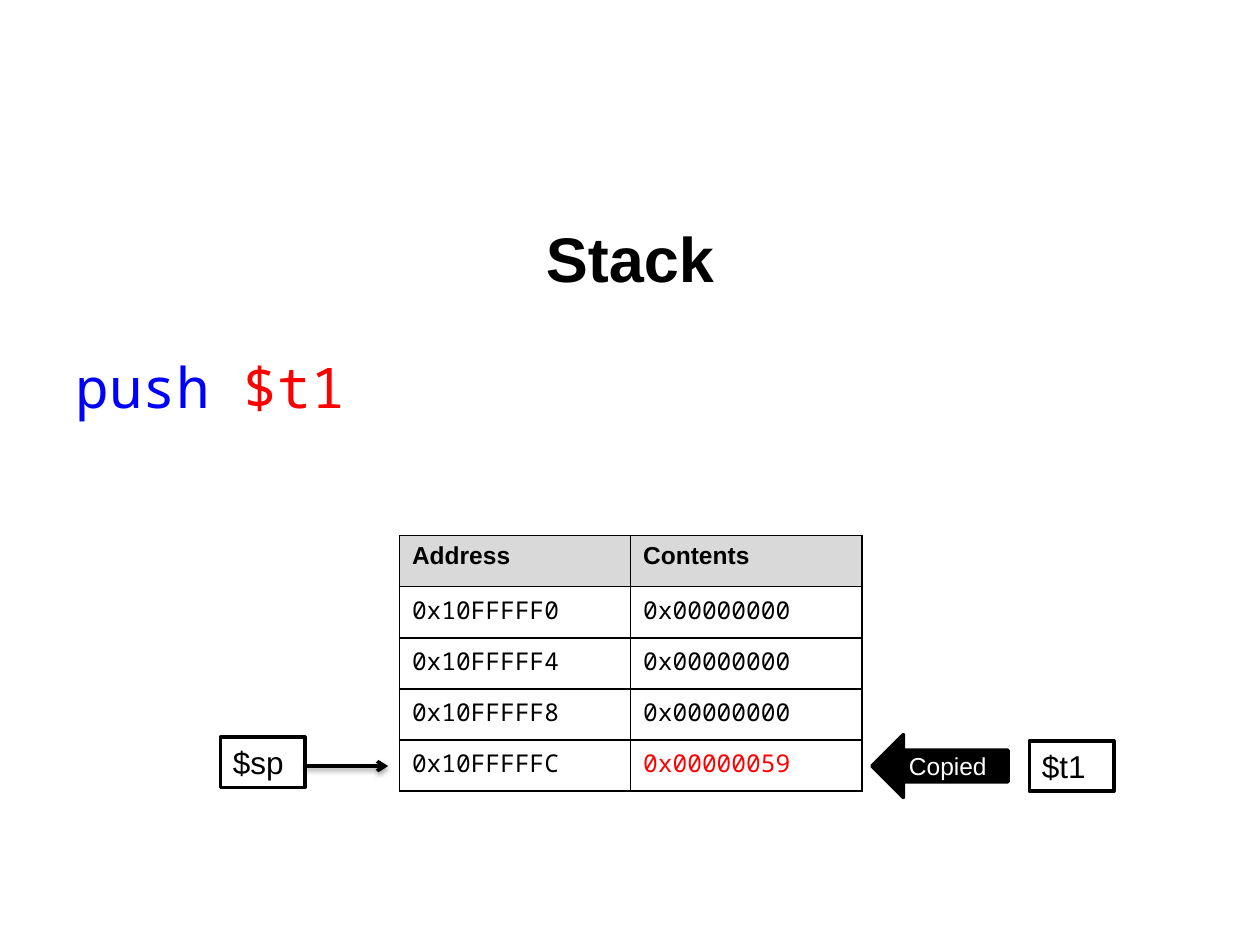
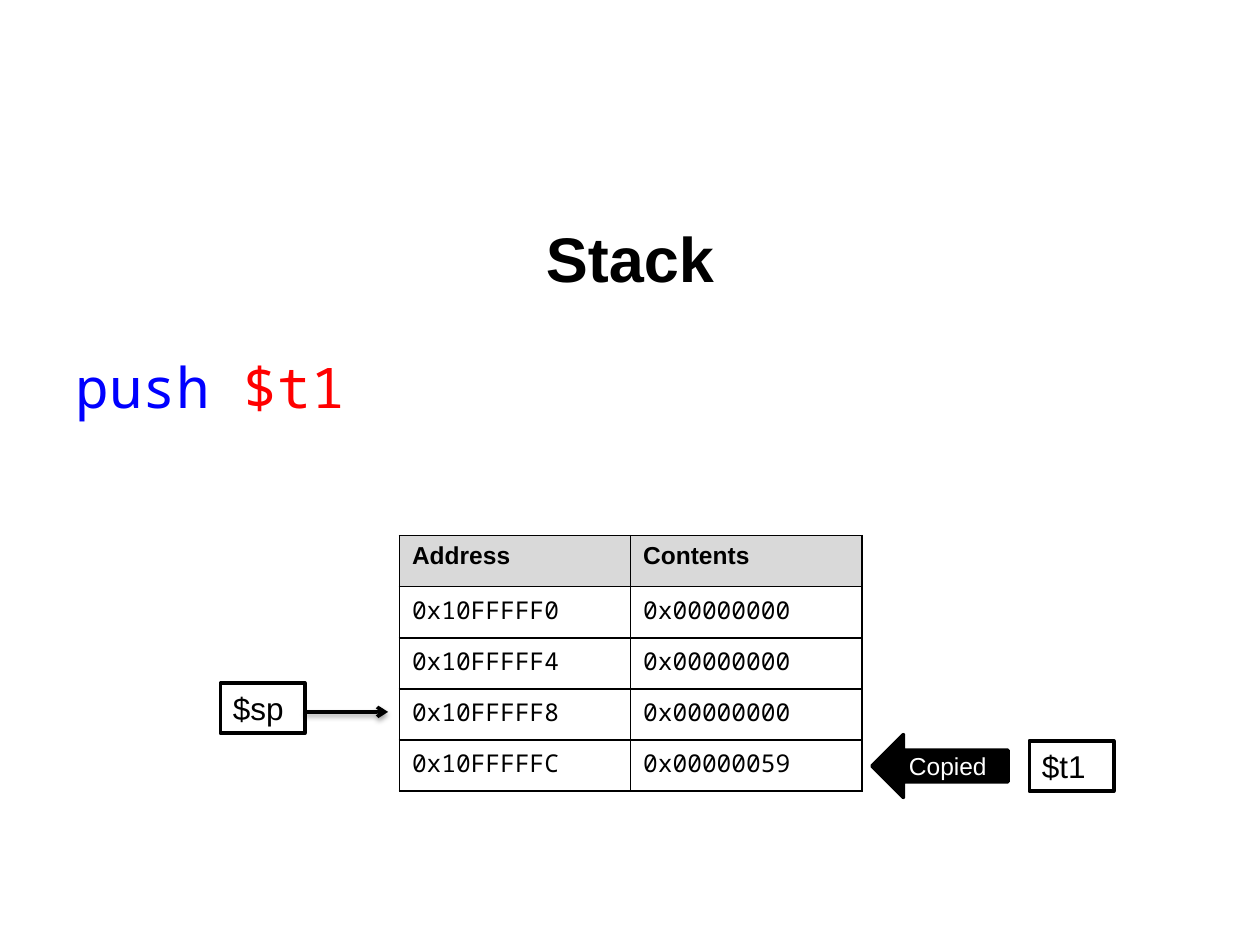
from dataclasses import dataclass

from lxml import etree
from pptx import Presentation
from pptx.dml.color import RGBColor
from pptx.enum import shapes, text
from pptx.oxml.ns import qn
from pptx.util import Inches, Pt


@dataclass(frozen=True)
class Theme:
    sans: str = "Arial"
    mono: str = "Noto Sans Mono"
    black: str = "000000"
    white: str = "FFFFFF"
    header: str = "D9D9D9"
    keyword: str = "0000FF"
    highlight: str = "FF0000"
    title_size: int = 36
    code_size: int = 32
    register_size: int = 18
    small_size: int = 14
    outline: float = 2
    border: float = 1


@dataclass(frozen=True)
class Box:
    left: float
    top: float
    width: float
    height: float

    def lengths(self) -> tuple:
        return tuple(Inches(v) for v in (self.left, self.top, self.width, self.height))


@dataclass(frozen=True)
class StackState:
    """One step of the push: where $sp points and how the copied value looks."""
    pointer_top: float
    value_color: str


THEME = Theme()
TITLE = Box(0.5, 1.42, 9, 1.25)
CODE = Box(0.5, 2.75, 9, 1.33)
MEMORY = Box(3.17, 4.25, 3.67, 2.03)
COPY_ARROW = Box(6.92, 5.83, 1.08, 0.5)
REGISTER_WIDTH, REGISTER_HEIGHT = 0.67, 0.4
SOURCE_REGISTER = Box(8.17, 5.88, REGISTER_WIDTH, REGISTER_HEIGHT)
POINTER_LEFT, POINTER_TIP = 1.75, 3.08
POINTER_LINE_DROP = 0.23

MEMORY_ROWS = [
    ("Address", "Contents"),
    ("0x10FFFFF0", "0x00000000"),
    ("0x10FFFFF4", "0x00000000"),
    ("0x10FFFFF8", "0x00000000"),
    ("0x10FFFFFC", "0x00000059"),
]
STATES = [StackState(5.85, THEME.highlight), StackState(5.42, THEME.black)]


def rgb(color: str) -> RGBColor:
    return RGBColor.from_string(color)


def style_run(run, size: int, color: str = THEME.black, font: str = THEME.sans,
              bold: bool = False) -> None:
    run.font.name = font
    run.font.size = Pt(size)
    run.font.bold = bold
    run.font.color.rgb = rgb(color)


def style_line(line) -> None:
    line.color.rgb = rgb(THEME.black)
    line.width = Pt(THEME.outline)


def place(shape, box: Box) -> None:
    shape.left, shape.top, shape.width, shape.height = box.lengths()


def add_heading(slide) -> None:
    title = slide.shapes.title
    place(title, TITLE)
    title.text_frame.text = "Stack"
    title.text_frame.vertical_anchor = text.MSO_ANCHOR.MIDDLE
    heading = title.text_frame.paragraphs[0]
    heading.alignment = text.PP_ALIGN.CENTER
    style_run(heading.runs[0], THEME.title_size, bold=True)


def add_instruction(slide) -> None:
    body = slide.placeholders[1]
    place(body, CODE)
    instruction = body.text_frame.paragraphs[0]
    etree.SubElement(instruction._p.get_or_add_pPr(), qn("a:buNone"))
    for part, color in (("push ", THEME.keyword), ("$t1", THEME.highlight)):
        run = instruction.add_run()
        run.text = part
        style_run(run, THEME.code_size, color, THEME.mono)


def add_cell_borders(cell) -> None:
    properties = cell._tc.get_or_add_tcPr()
    for side in ("lnL", "lnR", "lnT", "lnB"):
        border = etree.SubElement(properties, qn(f"a:{side}"), w=str(Pt(THEME.border)))
        fill = etree.SubElement(border, qn("a:solidFill"))
        etree.SubElement(fill, qn("a:srgbClr"), val=THEME.black)


def add_memory(slide, value_color: str) -> None:
    row_count, column_count = len(MEMORY_ROWS), len(MEMORY_ROWS[0])
    memory = slide.shapes.add_table(row_count, column_count, *MEMORY.lengths()).table
    for r, row in enumerate(MEMORY_ROWS):
        is_header = r == 0
        for c, content in enumerate(row):
            cell = memory.cell(r, c)
            add_cell_borders(cell)
            cell.fill.solid()
            cell.fill.fore_color.rgb = rgb(THEME.header if is_header else THEME.white)
            cell.text_frame.text = content
            is_pushed = (r, c) == (row_count - 1, column_count - 1)
            style_run(cell.text_frame.paragraphs[0].runs[0], THEME.small_size,
                      value_color if is_pushed else THEME.black,
                      THEME.sans if is_header else THEME.mono, is_header)


def add_register(parent, label: str, box: Box) -> None:
    register = parent.add_shape(shapes.MSO_SHAPE.RECTANGLE, *box.lengths())
    register.shadow.inherit = False
    register.fill.background()
    style_line(register.line)
    frame = register.text_frame
    frame.text = label
    frame.word_wrap = True
    frame.auto_size = text.MSO_AUTO_SIZE.SHAPE_TO_FIT_TEXT
    frame.vertical_anchor = text.MSO_ANCHOR.TOP
    frame.paragraphs[0].alignment = text.PP_ALIGN.LEFT
    style_run(frame.paragraphs[0].runs[0], THEME.register_size)


def add_soft_shadow(connector) -> None:
    effects = etree.SubElement(connector._element.spPr, qn("a:effectLst"))
    shadow = etree.SubElement(effects, qn("a:outerShdw"), blurRad=str(Pt(3.1)),
                              dist=str(Pt(1.6)), dir="5400000", rotWithShape="0")
    color = etree.SubElement(shadow, qn("a:srgbClr"), val=THEME.black)
    etree.SubElement(color, qn("a:alpha"), val="38000")


def add_stack_pointer(slide, top: float) -> None:
    pointer = slide.shapes.add_group_shape().shapes
    add_register(pointer, "$sp", Box(POINTER_LEFT, top, REGISTER_WIDTH, REGISTER_HEIGHT))
    line_y = Inches(top + POINTER_LINE_DROP)
    arrow = pointer.add_connector(shapes.MSO_CONNECTOR.STRAIGHT,
                                  Inches(POINTER_LEFT + REGISTER_WIDTH), line_y,
                                  Inches(POINTER_TIP), line_y)
    style_line(arrow.line)
    etree.SubElement(arrow._element.spPr.get_or_add_ln(), qn("a:tailEnd"), type="arrow")
    add_soft_shadow(arrow)


def add_copy_arrow(slide) -> None:
    arrow = slide.shapes.add_shape(shapes.MSO_SHAPE.LEFT_ARROW, *COPY_ARROW.lengths())
    arrow.shadow.inherit = False
    arrow.fill.solid()
    arrow.fill.fore_color.rgb = rgb(THEME.black)
    style_line(arrow.line)
    arrow.text_frame.text = "Copied"
    arrow.text_frame.vertical_anchor = text.MSO_ANCHOR.MIDDLE
    label = arrow.text_frame.paragraphs[0]
    label.alignment = text.PP_ALIGN.CENTER
    style_run(label.runs[0], THEME.small_size, THEME.white)


def add_stack_slide(deck, state: StackState) -> None:
    slide = deck.slides.add_slide(deck.slide_layouts[1])
    add_heading(slide)
    add_instruction(slide)
    add_memory(slide, state.value_color)
    add_register(slide.shapes, "$t1", SOURCE_REGISTER)
    add_copy_arrow(slide)
    add_stack_pointer(slide, state.pointer_top)


def main() -> None:
    deck = Presentation()
    deck.slide_width, deck.slide_height = Inches(10), Inches(7.5)
    for state in STATES:
        add_stack_slide(deck, state)
    deck.save("out.pptx")


if __name__ == "__main__":
    main()
